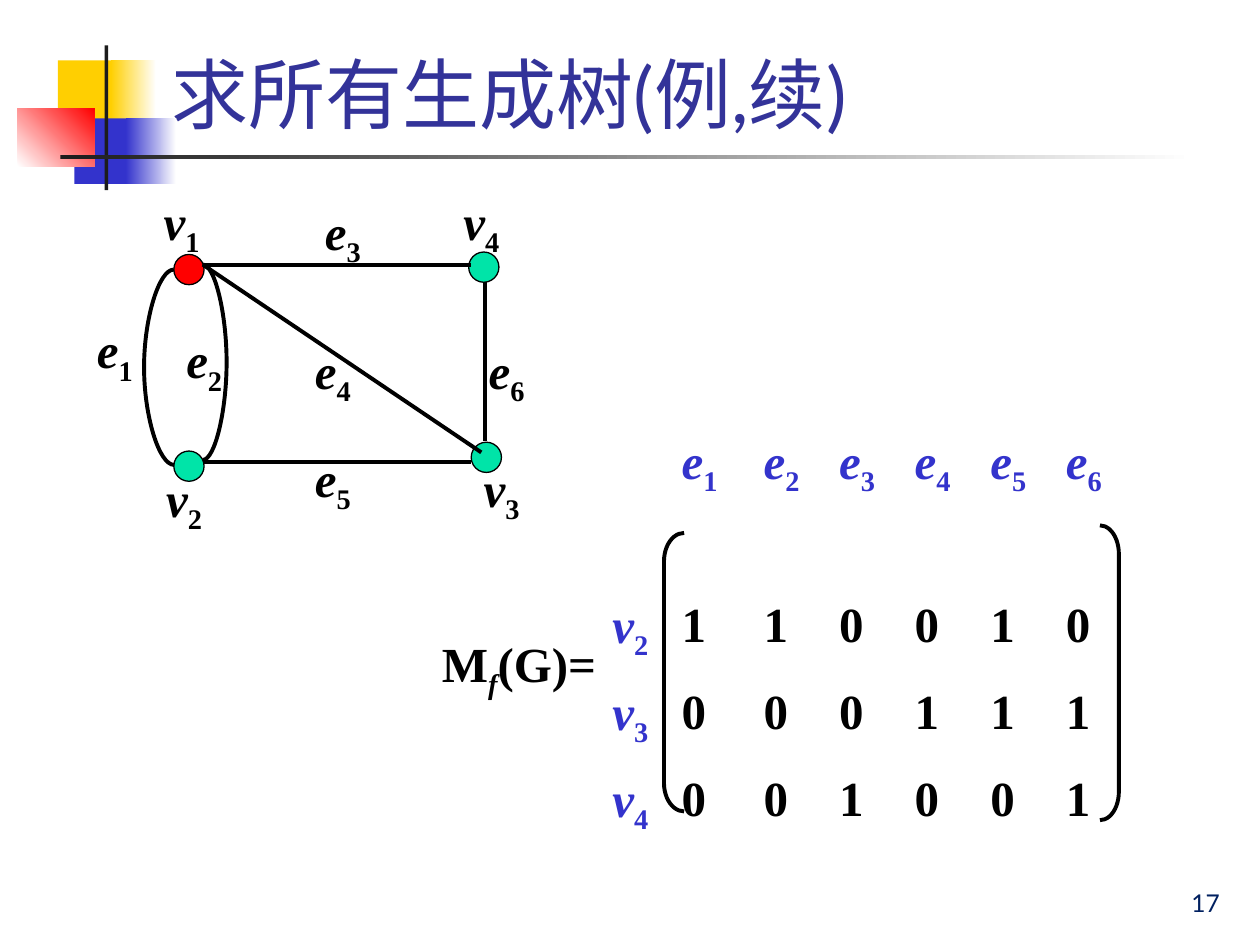
from itertools import product

from lxml.etree import SubElement
from pptx import Presentation
from pptx.dml.color import RGBColor
from pptx.enum.shapes import MSO_CONNECTOR, MSO_SHAPE
from pptx.enum.text import MSO_ANCHOR, MSO_AUTO_SIZE, PP_ALIGN
from pptx.oxml import parse_xml
from pptx.oxml.ns import nsdecls, qn
from pptx.util import Inches, Pt

YELLOW = RGBColor(0xFF, 0xCF, 0x01)
BLUE = RGBColor(0x33, 0x33, 0xCC)
RED = RGBColor(0xFF, 0x00, 0x00)
GREEN = RGBColor(0x00, 0xE4, 0xA8)
WHITE = RGBColor(0xFF, 0xFF, 0xFF)
BLACK = RGBColor(0x00, 0x00, 0x00)
CHARCOAL = RGBColor(0x1C, 0x1C, 0x1C)
INDIGO = RGBColor(0x33, 0x33, 0x99)
NAVY = RGBColor(0x00, 0x20, 0x60)

TITLE = "求所有生成树(例,续)"
TITLE_BOX = (12.6, 1.07, 85.2, 14.27)
PAGE = "17"
PAGE_BOX = (77, 91.07, 20.8, 6.67)

ORNAMENTS = [
    ((4.6, 6.4, 4.8, 6.93), [YELLOW], 0),
    ((8.8, 6.4, 3.6, 6.93), [YELLOW, WHITE], 0),
    ((5.9, 12.53, 4.6, 6.93), [BLUE], 0),
    ((10, 12.53, 4, 6.93), [BLUE, WHITE], 0),
    ((1.4, 11.47, 6.1, 6.13), [WHITE, RED], 45),
    ((8.3, 4.8, 0.3, 15.33), [CHARCOAL], 0),
    ((4.8, 16.4, 90, 0.4), [CHARCOAL, WHITE], 0),
]

NODE_SIZE = (2.4, 3.2)
NODES = [
    ((13.8, 26.93), RED),
    ((37.2, 26.67), GREEN),
    ((37.4, 46.8), GREEN),
    ((13.8, 47.73), GREEN),
]
STRAIGHT_EDGES = [
    (16.1, 28, 37.4, 28),
    (38.5, 29.87, 38.5, 46.67),
    (16.1, 48.93, 37.4, 48.93),
    (16.1, 28, 38.2, 47.87),
]
CURVED_EDGES = [(13.8, 28.53, 49.2, -2.5), (16.1, 28, 48.67, 2)]

LABEL_SIZE = (5.1, 7.6)
LABELS = {
    "v1": (12, 19.6), "v4": (35.8, 19.6), "v3": (37.4, 47.87), "v2": (12.2, 48.93),
    "e1": (6.7, 33.2), "e2": (13.8, 34.27), "e3": (24.8, 20.67),
    "e4": (24, 35.33), "e5": (24, 46.8), "e6": (37.8, 35.33),
}

MATRIX = [
    ["", "e1", "e2", "e3", "e4", "e5", "e6"],
    [""] * 7,
    ["v2", "1", "1", "0", "0", "1", "0"],
    ["v3", "0", "0", "0", "1", "1", "1"],
    ["v4", "0", "0", "1", "0", "0", "1"],
]
MATRIX_CORNER = (47.6, 44.8)
COLUMN_SHARES = [5.5, 6.5] + [6] * 5
ROW_SHARES = [9.2, 8.13] + [9.2] * 3
BRACKETS = [
    (MSO_SHAPE.LEFT_BRACKET, (52.7, 56.4, 1.6, 29.47), 1.41),
    (MSO_SHAPE.RIGHT_BRACKET, (87.3, 55.6, 1.5, 31.2), 1.51),
]
MATRIX_NAME = [("M", False, False), ("f", True, True), ("(G)=", False, False)]
MATRIX_NAME_BOX = (34.1, 66.4, 14.4, 7.6)

MATH_FONT = {"name": "Times New Roman", "size": Pt(28), "bold": True}
TITLE_FONT = {"name": "Lato", "size": Pt(44), "bold": False}
PAGE_FONT = {"name": "Lato", "size": Pt(14)}
TITLE_FRAME = {"vertical_anchor": MSO_ANCHOR.BOTTOM, "auto_size": MSO_AUTO_SIZE.NONE, "word_wrap": True}
PAGE_FRAME = {"vertical_anchor": MSO_ANCHOR.BOTTOM, "word_wrap": True}
LABEL_FRAME = {"auto_size": MSO_AUTO_SIZE.SHAPE_TO_FIT_TEXT, "word_wrap": False}
PLAIN_TABLE = {"first_row": False, "horz_banding": False}

deck = Presentation()
deck.slide_width, deck.slide_height = Inches(10), Inches(7.5)
slide = deck.slides.add_slide(deck.slide_layouts[5])
shapes = slide.shapes


def across(share):
    return round(deck.slide_width * share / 100)


def down(share):
    return round(deck.slide_height * share / 100)


def place(box):
    return [scale(share) for scale, share in zip((across, down, across, down), box)]


def apply(target, values):
    for key, value in values.items():
        setattr(target, key, value)


def write(paragraph, pieces, font, color):
    for text, italic, lowered in pieces:
        run = paragraph.add_run()
        run.text = text
        apply(run.font, font | {"italic": italic})
        run.font.color.rgb = color
        if lowered:
            run.font._element.set("baseline", "-25000")


def indexed(symbol):
    return [(symbol[0], symbol[0].isalpha(), False)] + [(index, False, True) for index in symbol[1:]]


def add_text(box, pieces, frame, font, color):
    text_frame = shapes.add_textbox(*place(box)).text_frame
    apply(text_frame, frame)
    write(text_frame.paragraphs[0], pieces, font, color)
    return text_frame.paragraphs[0]


def add_filled(preset, box, colors, angle=0):
    shape = shapes.add_shape(preset, *place(box))
    shape.shadow.inherit = False
    shape.line.fill.background()
    if len(colors) == 1:
        shape.fill.solid()
        shape.fill.fore_color.rgb = colors[0]
    elif colors:
        shape.fill.gradient()
        shape.fill.gradient_angle = angle
        for stop, color in zip(shape.fill.gradient_stops, colors):
            stop.color.rgb = color
    else:
        shape.fill.background()
    return shape


def outline(shape, width):
    shape.line.color.rgb = BLACK
    shape.line.width = Pt(width)


def add_edge(kind, *ends):
    edge = shapes.add_connector(kind, *ends)
    outline(edge, 2.25)
    SubElement(edge._element.spPr, qn("a:effectLst"))
    return edge


for box, colors, angle in ORNAMENTS:
    add_filled(MSO_SHAPE.RECTANGLE, box, colors, angle)

title = shapes.title
apply(title, dict(zip(("left", "top", "width", "height"), place(TITLE_BOX))))
apply(title.text_frame, TITLE_FRAME)
heading = title.text_frame.paragraphs[0]
heading.alignment = PP_ALIGN.LEFT
write(heading, [(TITLE, False, False)], TITLE_FONT, INDIGO)
heading.runs[0].font._element.find(qn("a:solidFill")).addnext(parse_xml(
    f'<a:effectLst {nsdecls("a")}><a:outerShdw dist="17961" dir="2700000">'
    '<a:srgbClr val="000000"/></a:outerShdw></a:effectLst>'))

for corner, color in NODES:
    outline(add_filled(MSO_SHAPE.OVAL, corner + NODE_SIZE, [color]), 0.75)

for ends in STRAIGHT_EDGES:
    add_edge(MSO_CONNECTOR.STRAIGHT, *place(ends))

for x, top, bottom, bulge in CURVED_EDGES:
    sliver = Pt(0.12)
    edge = add_edge(MSO_CONNECTOR.CURVE, across(x), down(top), across(x) + sliver, down(bottom))
    bend = round(across(bulge) / sliver * 100000)
    guides = edge._element.spPr.find(qn("a:prstGeom")).find(qn("a:avLst"))
    SubElement(guides, qn("a:gd"), name="adj1", fmla=f"val {bend}")

for symbol, corner in LABELS.items():
    add_text(corner + LABEL_SIZE, indexed(symbol), LABEL_FRAME, MATH_FONT, BLACK)

matrix_box = MATRIX_CORNER + (sum(COLUMN_SHARES), sum(ROW_SHARES))
matrix = shapes.add_table(len(MATRIX), len(MATRIX[0]), *place(matrix_box)).table
apply(matrix, PLAIN_TABLE)
for column, share in zip(matrix.columns, COLUMN_SHARES):
    column.width = across(share)
for row, share in zip(matrix.rows, ROW_SHARES):
    row.height = down(share)
for row, column in product(range(len(MATRIX)), range(len(MATRIX[0]))):
    cell, symbol = matrix.cell(row, column), MATRIX[row][column]
    cell.fill.background()
    if symbol:
        entry = cell.text_frame.paragraphs[0]
        entry.line_spacing = 1.1
        write(entry, indexed(symbol), MATH_FONT, BLUE if symbol[0].isalpha() else BLACK)

for preset, box, curvature in BRACKETS:
    bracket = add_filled(preset, box, [])
    bracket.adjustments[0] = curvature
    outline(bracket, 2.25)

add_text(MATRIX_NAME_BOX, MATRIX_NAME, LABEL_FRAME, MATH_FONT, BLACK)
add_text(PAGE_BOX, [(PAGE, False, False)], PAGE_FRAME, PAGE_FONT, NAVY).alignment = PP_ALIGN.RIGHT

deck.save("out.pptx")
